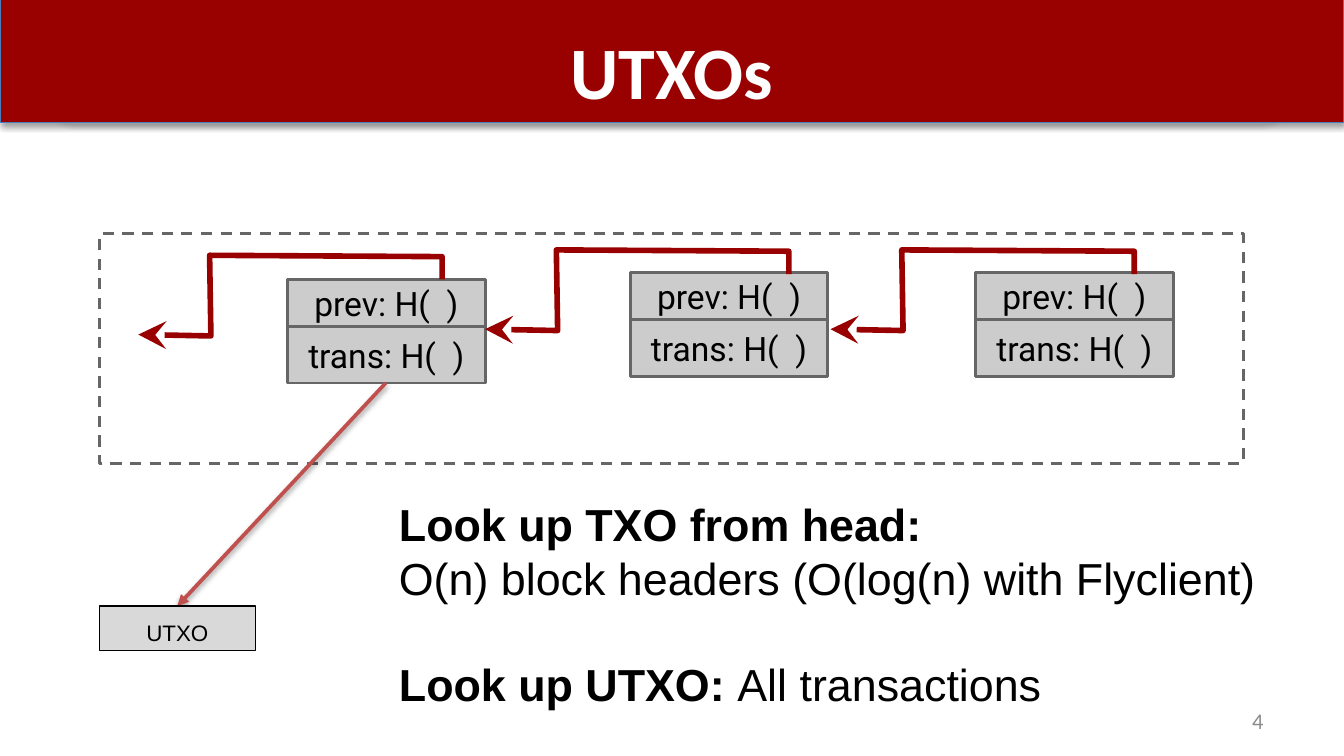
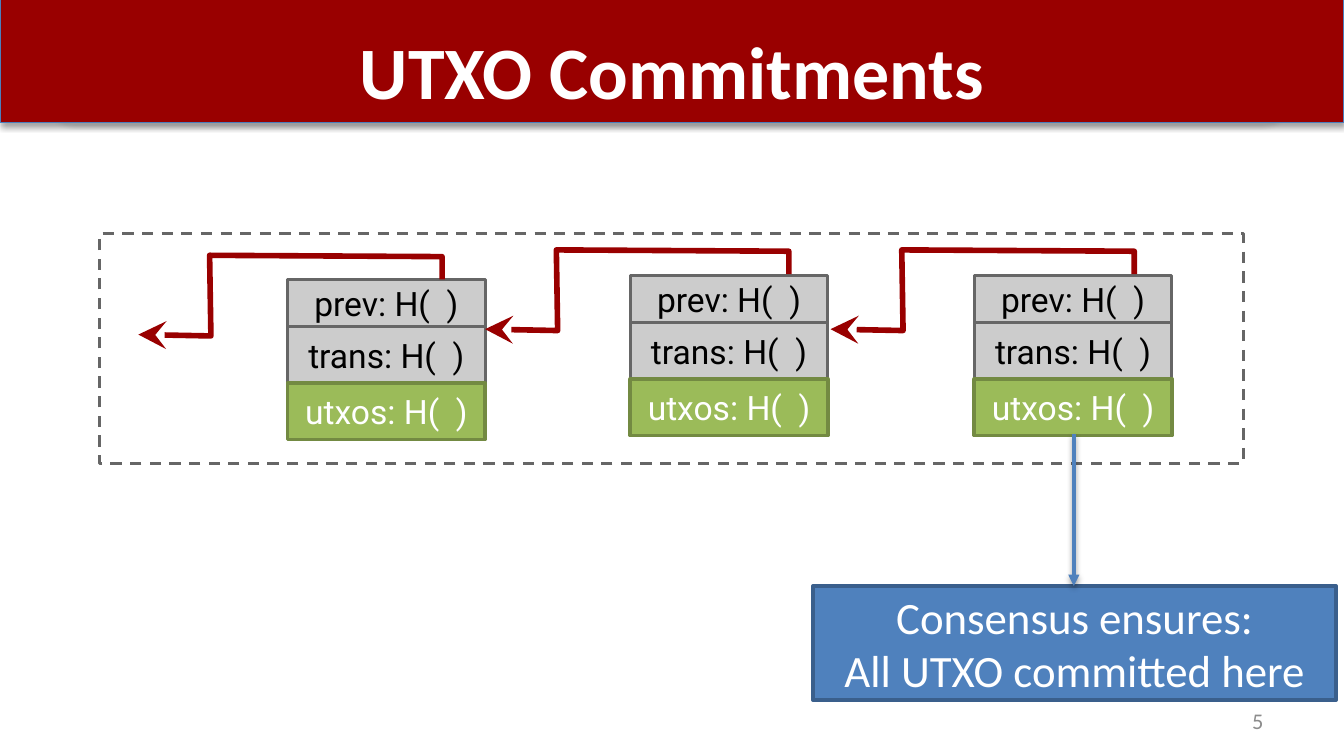
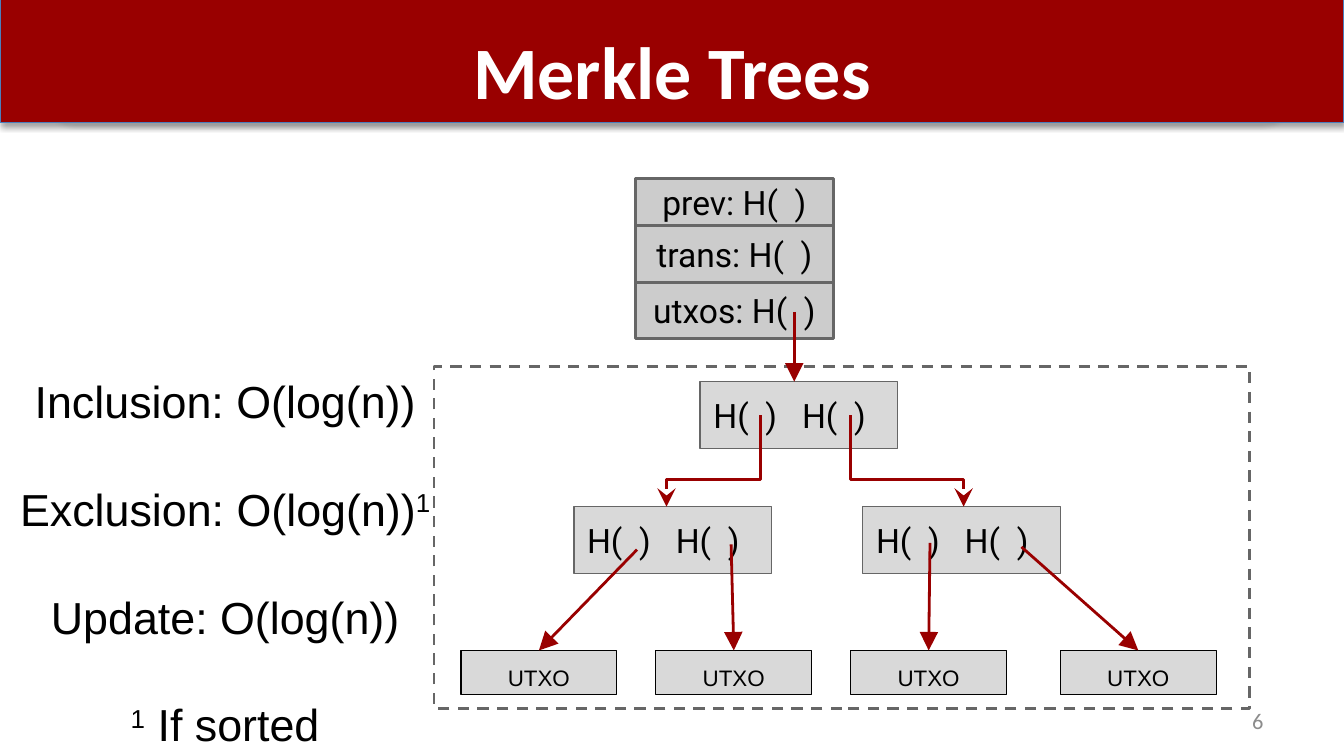
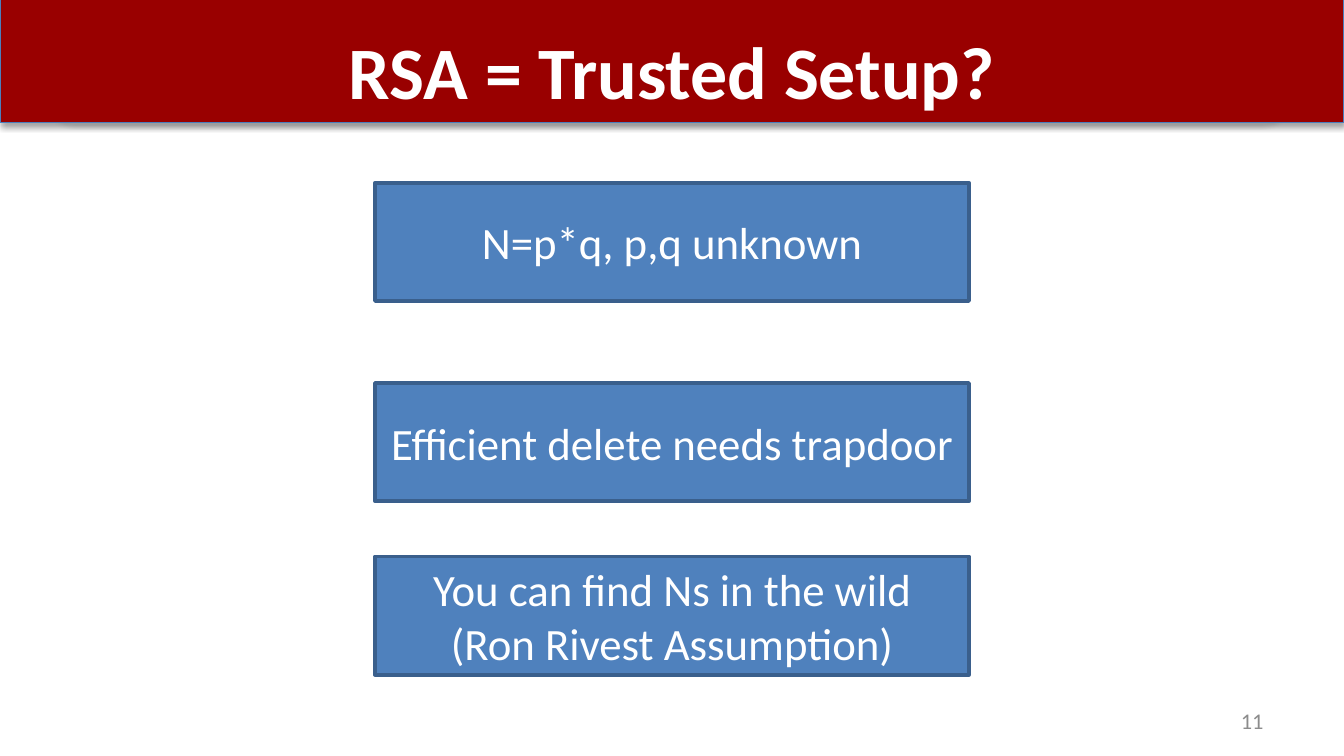
import pptx
import pptx.util
import pptx.dml.color
import pptx.enum.dml
import pptx.enum.shapes
import pptx.enum.text
import pptx.oxml.ns
from lxml import etree

Inches = pptx.util.Inches
Pt = pptx.util.Pt
RGBColor = pptx.dml.color.RGBColor
Shape = pptx.enum.shapes.MSO_SHAPE
Align = pptx.enum.text.PP_ALIGN
Anchor = pptx.enum.text.MSO_ANCHOR
qn = pptx.oxml.ns.qn

# Colours
RED = RGBColor(0x99, 0x00, 0x00)
ROSE = RGBColor(0xC0, 0x50, 0x4D)
BLUE = RGBColor(0x4F, 0x81, 0xBD)
NAVY = RGBColor(0x3A, 0x5F, 0x8C)
EDGE = RGBColor(0x4B, 0x7E, 0xBC)
PLUM = RGBColor(0x7D, 0x60, 0xA0)
GREEN = RGBColor(0x9B, 0xBB, 0x59)
MOSS = RGBColor(0x73, 0x8A, 0x42)
WHITE = RGBColor(0xFF, 0xFF, 0xFF)
BLACK = RGBColor(0x00, 0x00, 0x00)
SILVER = RGBColor(0xCC, 0xCC, 0xCC)
PALE = RGBColor(0xD9, 0xD9, 0xD9)
GREY = RGBColor(0x66, 0x66, 0x66)
MUTED = RGBColor(0x8C, 0x8C, 0x8C)

# Text styles: font values and colour
TITLE = ({"name": "Calibri", "size": Pt(39.6), "bold": True}, WHITE)
NUMBER = ({"name": "Calibri", "size": Pt(12)}, MUTED)
FIELD = ({"name": "Roboto", "size": Pt(18)}, BLACK)
FRESH = ({"name": "Roboto", "size": Pt(18)}, WHITE)
LEAF = ({"name": "Arial", "size": Pt(12)}, BLACK)
BODY = ({"name": "Arial", "size": Pt(24)}, BLACK)
CALL = ({"name": "Calibri", "size": Pt(24)}, WHITE)

# Frame settings
TIGHT = {"margin_left": Inches(0.1), "margin_right": Inches(0.1),
         "margin_top": Inches(0.1), "margin_bottom": Inches(0.1)}
MIDDLE = {"vertical_anchor": Anchor.MIDDLE}
TOP = {"vertical_anchor": Anchor.TOP}

BOLD = {"bold": True}
RAISED = {"raised": True}

# Block header rows: text, height, fill, line, width, style
PREV = ("prev: H(  )", 0.35, SILVER, GREY, 1.5, FIELD)
TRANS = ("trans: H(  )", 0.42, SILVER, GREY, 1.5, FIELD)
UTXOS = ("utxos: H(  )", 0.42, SILVER, GREY, 1.5, FIELD)
COMMIT = ("utxos: H(  )", 0.42, GREEN, MOSS, 2, FRESH)

WIDE = 1.47
LINKS = [(3.29, 2.08), (5.87, 2.04), (8.44, 2.04)]
BEND = [(0, 0), (0, -0.17), (-1.73, -0.18), (-1.72, 0.42), (-2.26, 0.41)]


def assign(item, values):
    for name, value in values.items():
        setattr(item, name, value)


# Text
def write(frame, paras, style, align=Align.LEFT, frmt=TOP, gap=0):
    """Each paragraph is a string or a list of (text, extra values)."""
    frame.word_wrap = True
    assign(frame, frmt)
    values, color = style
    for i, para in enumerate(paras):
        line = frame.paragraphs[0] if i == 0 else frame.add_paragraph()
        line.alignment = align
        if i and gap:
            line.space_before = Pt(gap)
        for text, extra in [(para, {})] if isinstance(para, str) else para:
            run = line.add_run()
            run.text = text
            if extra is RAISED:
                run._r.get_or_add_rPr().set("baseline", "30000")
                extra = {}
            assign(run.font, {**values, **extra})
            run.font.color.rgb = color


def label(slide, at, paras, style, align=Align.LEFT, frmt=TOP, gap=0):
    box = slide.shapes.add_textbox(*map(Inches, at))
    write(box.text_frame, paras, style, align, frmt, gap)


# Lines and shapes
def stroke(item, color, width, tip=None, size="med"):
    item.line.color.rgb = color
    item.line.width = Pt(width)
    if tip:
        edge = item.element.spPr.find(qn("a:ln"))
        etree.SubElement(edge, qn("a:tailEnd"), type=tip, w=size, len=size)


def shade(item, alpha, blur, dist):
    """Cast a black shadow straight down."""
    glow = item.element.spPr.find(qn("a:effectLst"))
    cast = etree.SubElement(glow, qn("a:outerShdw"), blurRad=str(Pt(blur)),
                            dist=str(Pt(dist)), dir="5400000", rotWithShape="0")
    tint = etree.SubElement(cast, qn("a:srgbClr"), val=str(BLACK))
    etree.SubElement(tint, qn("a:alpha"), val=str(alpha * 1000))


def box(slide, at, fill, line, width, kind=Shape.RECTANGLE):
    item = slide.shapes.add_shape(kind, *map(Inches, at))
    item.shadow.inherit = False
    if fill is None:
        item.fill.background()
    else:
        item.fill.solid()
        item.fill.fore_color.rgb = fill
    stroke(item, line, width)
    return item


def dashed(slide, at):
    box(slide, at, None, GREY, 1.5).line.dash_style = pptx.enum.dml.MSO_LINE.DASH


def arrow(slide, start, end, color, width, size="med"):
    item = slide.shapes.add_connector(pptx.enum.shapes.MSO_CONNECTOR.STRAIGHT,
                                      *map(Inches, start + end))
    stroke(item, color, width, "triangle", size)
    etree.SubElement(item.element.spPr, qn("a:effectLst"))
    return item


def elbow(slide, points, width):
    spots = [(Inches(x), Inches(y)) for x, y in points]
    maker = slide.shapes.build_freeform(*spots[0])
    maker.add_line_segments(spots[1:], close=False)
    item = maker.convert_to_shape()
    item.shadow.inherit = False
    item.fill.background()
    stroke(item, RED, width, "stealth", "lg")


# Diagram parts
def block(slide, left, top, rows):
    for text, high, fill, line, width, style in rows:
        item = box(slide, (left, top, WIDE, high), fill, line, width)
        write(item.text_frame, [text], style, Align.CENTER, {**TIGHT, **MIDDLE})
        top += high


def chain(slide, spots, rows):
    for left, top in spots:
        block(slide, left, top, rows)
    for x, y in LINKS:
        elbow(slide, [(x + dx, y + dy) for dx, dy in BEND], 3)
    dashed(slide, (0.74, 1.74, 8.51, 1.71))


def leaf(slide, left, top):
    item = box(slide, (left, top, 1.16, 0.33), PALE, BLACK, 0.75)
    write(item.text_frame, ["UTXO"], LEAF, Align.CENTER, {**TIGHT, **TOP})


def node(slide, left, top):
    """Tree node with two hash slots set apart by a tab."""
    item = box(slide, (left, top, WIDE, 0.5), PALE, GREY, 0.75)
    frame = item.text_frame
    props = frame.paragraphs[0]._p.get_or_add_pPr()
    tabs = etree.SubElement(props, qn("a:tabLst"))
    etree.SubElement(tabs, qn("a:tab"), pos=str(Inches(0.66)), algn="l")
    write(frame, ["H(  )\tH(  )"], FIELD, frmt={**TIGHT, **TOP})


def callout(slide, at, paras):
    item = box(slide, at, BLUE, NAVY, 2)
    write(item.text_frame, paras, CALL, Align.CENTER, MIDDLE)


# Shared page: band, title, number
def page(deck, title, number):
    slide = deck.slides.add_slide(deck.slide_layouts[6])
    back = box(slide, (0.4, 0, 9.13, 0.89), None, PLUM, 0.75,
               Shape.ROUNDED_RECTANGLE)
    band = box(slide, (0, -0.01, 10, 0.92), RED, EDGE, 0.75)
    for item in (back, band):
        shade(item, 35, 3.1, 1.8)
    label(slide, (0.5, 0.14, 9, 0.68), [title], TITLE, Align.CENTER)
    label(slide, (7.17, 5.21, 2.33, 0.3), [str(number)], NUMBER,
          Align.RIGHT, MIDDLE)
    return slide


# Slides
def lookup(deck):
    slide = page(deck, "UTXOs", 4)
    chain(slide, [(2.14, 2.08), (4.69, 2.03), (7.26, 2.03)], [PREV, TRANS])
    shade(arrow(slide, (2.87, 2.85), (1.32, 4.51), ROSE, 2), 38, 3.1, 1.6)
    leaf(slide, 0.74, 4.51)
    label(slide, (2.87, 3.65, 6.76, 1.31),
          [[("Look up TXO from head:", BOLD)],
           "O(n) block headers (O(log(n) with Flyclient)"], BODY)
    label(slide, (2.87, 4.84, 6.25, 0.91),
          [[("Look up UTXO: ", BOLD), ("All transactions", {})]], BODY)


def commits(deck):
    slide = page(deck, "UTXO Commitments", 5)
    chain(slide, [(2.14, 2.08), (4.69, 2.05), (7.25, 2.05)],
          [PREV, TRANS, COMMIT])
    callout(slide, (6.05, 4.36, 3.89, 0.85),
            ["Consensus ensures:", "All UTXO committed here"])
    shade(arrow(slide, (7.99, 3.23), (7.99, 4.36), BLUE, 2), 38, 3.1, 1.6)


def tree(deck):
    slide = page(deck, "Merkle Trees", 6)
    block(slide, 4.73, 1.33, [PREV, TRANS, UTXOS])
    dashed(slide, (3.23, 2.73, 6.07, 2.54))
    for left, top in [(5.21, 2.84), (4.27, 3.77), (6.42, 3.77)]:
        node(slide, left, top)
    for x, end in [(5.66, 4.96), (6.33, 7.17)]:
        elbow(slide, [(x, 3.09), (x, 3.57), (end, 3.57), (end, 3.77)], 1.5)
    # Each leaf: its left edge, and where its arrow starts
    for left, start in [(3.43, (4.74, 4.09)), (4.88, (5.44, 4.05)),
                        (6.33, (6.92, 4.04)), (7.89, (7.6, 4.07))]:
        leaf(slide, left, 4.84)
        arrow(slide, start, (left + 0.58, 4.84), RED, 1.5, "lg")
    arrow(slide, (5.91, 2.32), (5.91, 2.84), RED, 1.5, "lg")
    label(slide, (-0.05, 2.73, 3.45, 3.2),
          ["Inclusion: O(log(n))",
           [("Exclusion: O(log(n))", {}), ("1", RAISED)],
           "Update: O(log(n))",
           [("1", RAISED), (" If sorted", {})]],
          BODY, Align.CENTER, gap=29)


def setup(deck):
    slide = page(deck, "RSA = Trusted Setup?", 11)
    for top, text in [
            (1.36, "N=p*q, p,q unknown"),
            (2.85, "Efficient delete needs trapdoor"),
            (4.14, "You can find Ns in the wild (Ron Rivest Assumption)")]:
        callout(slide, (2.79, top, 4.42, 0.88), [text])


def main():
    deck = pptx.Presentation()
    # Widescreen, 16 to 9
    deck.slide_width = Inches(10)
    deck.slide_height = Inches(10) * 9 // 16
    for build in (lookup, commits, tree, setup):
        build(deck)
    deck.save("out.pptx")


if __name__ == "__main__":
    main()
